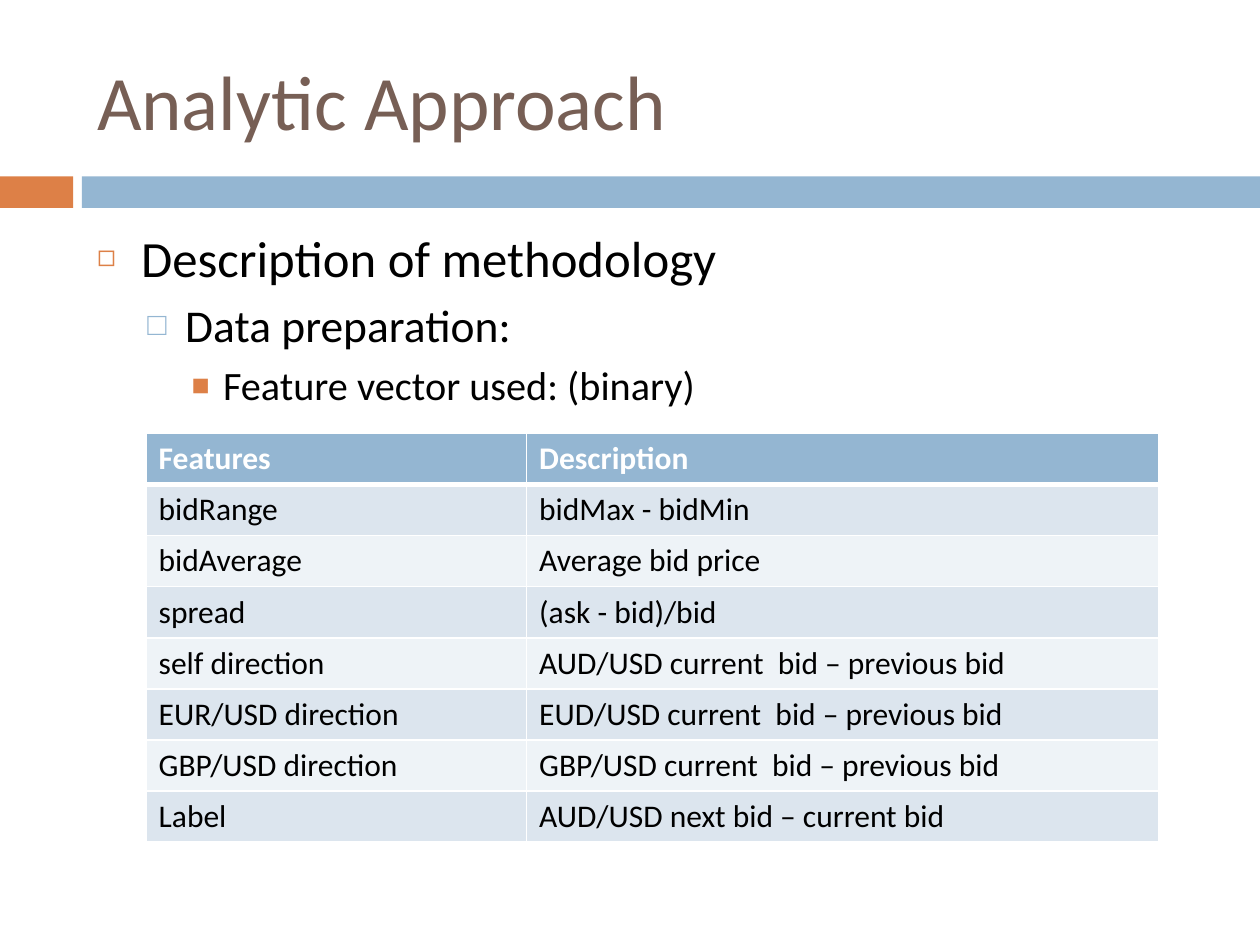
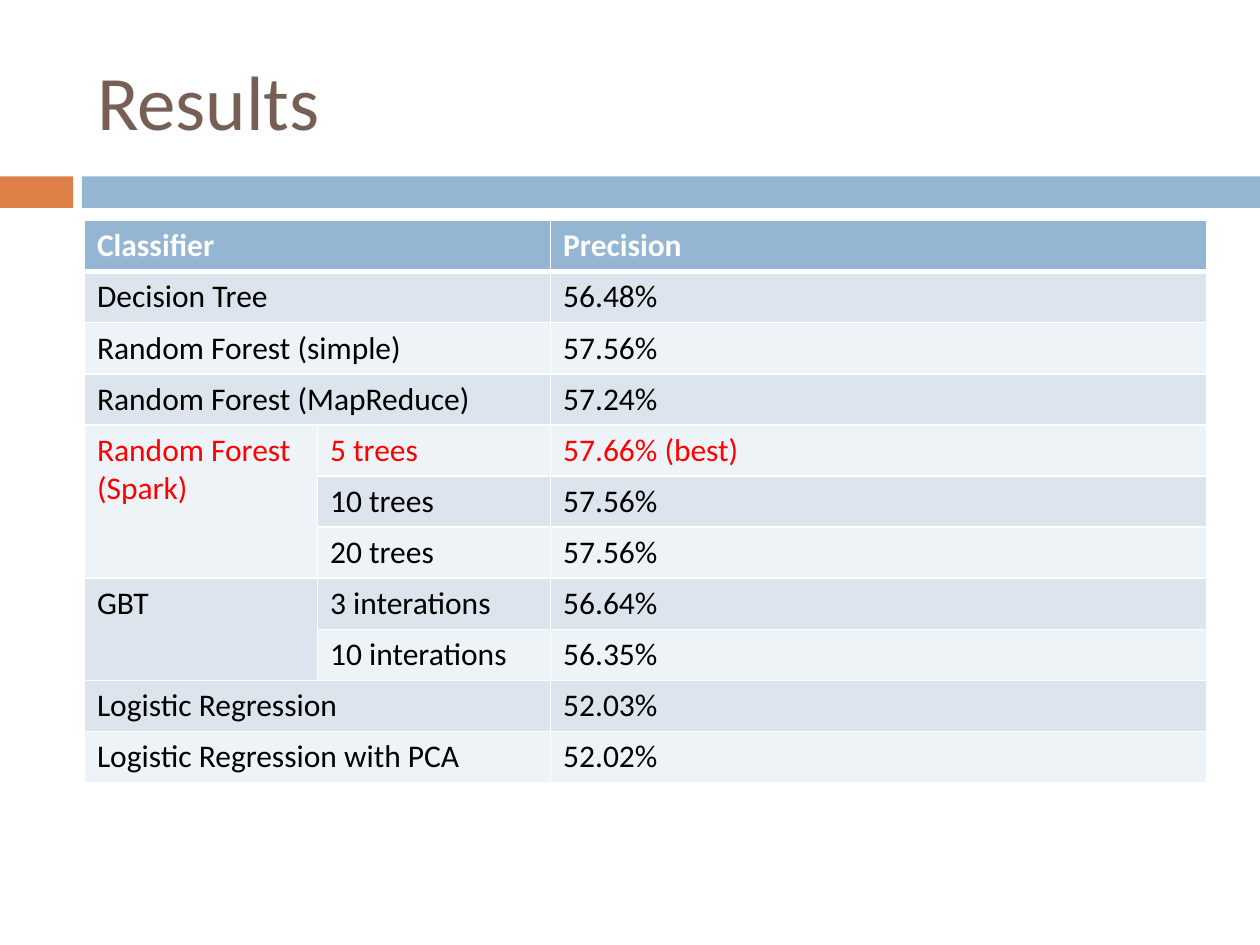
import pptx
import pptx.util
import pptx.dml.color
import pptx.enum.shapes
import pptx.enum.text
import lxml.etree
import pptx.oxml.ns

Inches, Pt = pptx.util.Inches, pptx.util.Pt
RGB = pptx.dml.color.RGBColor.from_string
qn = pptx.oxml.ns.qn

COLORS = {
    "title": "775F55", "orange": "DD8047", "blue": "94B6D2",
    "text": "000000", "best": "FF0000", "white": "FFFFFF",
    "band_dark": "DCE5EE", "band_light": "EEF3F7",
}
FONT = "Calibri"
LEFT, TOP, WIDTH = 0.67, 1.75, 8.92  # content area
ROW_HEIGHT = 0.4


def format_text(frame, size, color, bold=False):
    """Give every run of a text frame the same font, size and colour."""
    for para in frame.paragraphs:
        for span in para.runs:
            span.font.name = FONT
            span.font.size = Pt(size)
            span.font.bold = bold
            span.font.color.rgb = RGB(COLORS[color])


def add_banded_table(page, rows, left, top, widths, red_row=None):
    """Add a table with a blue header, banded rows and white rules."""
    frame = page.shapes.add_table(
        len(rows), len(widths), Inches(left), Inches(top),
        Inches(sum(widths)), Inches(ROW_HEIGHT * len(rows)))
    table = frame.table
    for column, width in zip(table.columns, widths):
        column.width = Inches(width)
    for r, row in enumerate(rows):
        for c, text in enumerate(row):
            cell = table.cell(r, c)
            cell.text = text
            color = "white" if r == 0 else "best" if r == red_row else "text"
            format_text(cell.text_frame, 18, color, bold=r == 0)
            properties = cell._tc.get_or_add_tcPr()
            for side in "LRTB":
                heavy = (r, side) in ((0, "B"), (1, "T"))
                line = lxml.etree.SubElement(
                    properties, qn("a:ln" + side), w=str(Pt(3 if heavy else 1)))
                paint = lxml.etree.SubElement(line, qn("a:solidFill"))
                lxml.etree.SubElement(paint, qn("a:srgbClr"), val=COLORS["white"])
            cell.fill.solid()
            band = "blue" if r == 0 else "band_dark" if r % 2 else "band_light"
            cell.fill.fore_color.rgb = RGB(COLORS[band])
    return table


deck = pptx.Presentation()
deck.slide_width, deck.slide_height = Inches(10), Inches(7.5)
TITLE_AND_BODY, TITLE_ONLY = deck.slide_layouts[1], deck.slide_layouts[5]

# Shared frame: title and the two-part band under it
pages = []
for title, layout in (("Analytic Approach", TITLE_AND_BODY), ("Results", TITLE_ONLY)):
    page = deck.slides.add_slide(layout)
    pages.append(page)
    for left, width, color in ((0, 0.58, "orange"), (0.65, 9.35, "blue")):
        band = page.shapes.add_shape(
            pptx.enum.shapes.MSO_SHAPE.RECTANGLE,
            Inches(left), Inches(1.4), Inches(width), Inches(0.25))
        band.shadow.inherit = False
        band.fill.solid()
        band.fill.fore_color.rgb = RGB(COLORS[color])
        band.line.fill.background()
    box = page.shapes.title
    box.left, box.top = Inches(LEFT), Inches(0.25)
    box.width, box.height = Inches(WIDTH), Inches(1.08)
    box.text_frame.text = title
    box.text_frame.vertical_anchor = pptx.enum.text.MSO_ANCHOR.MIDDLE
    box.text_frame.paragraphs[0].alignment = pptx.enum.text.PP_ALIGN.LEFT
    format_text(box.text_frame, 44, "title")

approach, results = pages

# Analytic approach: bulleted outline, one level per line
body = approach.placeholders[1]
body.left, body.top = Inches(LEFT), Inches(TOP)
body.width, body.height = Inches(WIDTH), Inches(4.92)
# text, size, space before, margin, hanging, bullet, bullet colour, bullet percent
outline = [
    ("Description of methodology", 29, 7, 0.35, 0.35, "\u25fb", "orange", 60),
    ("Data preparation:", 26, 5.5, 0.7, 0.3, "\u25a1", "blue", 70),
    ("Feature vector used: (binary)", 23, 5, 1, 0.25, "\u25a0", "orange", 75),
]
body.text_frame.text = "\n".join(item[0] for item in outline)
body.text_frame.auto_size = pptx.enum.text.MSO_AUTO_SIZE.NONE
format_text(body.text_frame, 29, "text")
for level, (para, item) in enumerate(zip(body.text_frame.paragraphs, outline)):
    text, size, before, margin, hanging, bullet, color, percent = item
    para.level = level
    para.space_before = Pt(before)
    para.runs[0].font.size = Pt(size)
    properties = para._p.get_or_add_pPr()
    properties.set("marL", str(Inches(margin)))
    properties.set("indent", str(-Inches(hanging)))
    paint = lxml.etree.SubElement(properties, qn("a:buClr"))
    lxml.etree.SubElement(paint, qn("a:srgbClr"), val=COLORS[color])
    lxml.etree.SubElement(properties, qn("a:buSzPct"), val=str(percent * 1000))
    lxml.etree.SubElement(properties, qn("a:buChar"), char=bullet)

features = [
    ("Features", "Description"),
    ("bidRange", "bidMax - bidMin"),
    ("bidAverage", "Average bid price"),
    ("spread", "(ask - bid)/bid"),
    ("self direction", "AUD/USD current  bid \u2013 previous bid"),
    ("EUR/USD direction", "EUD/USD current  bid \u2013 previous bid"),
    ("GBP/USD direction", "GBP/USD current  bid \u2013 previous bid"),
    ("Label", "AUD/USD next bid \u2013 current bid"),
]
add_banded_table(approach, features, 1.16, 3.44, (3.02, 5.02))

# Results: classifiers, some split by their setting
precision = [
    ("Classifier", "", "Precision"),
    ("Decision Tree", "", "56.48%"),
    ("Random Forest (simple)", "", "57.56%"),
    ("Random Forest (MapReduce)", "", "57.24%"),
    ("Random Forest (Spark)", "5 trees", "57.66% (best)"),
    ("", "10 trees", "57.56%"),
    ("", "20 trees", "57.56%"),
    ("GBT", "3 interations", "56.64%"),
    ("", "10 interations", "56.35%"),
    ("Logistic Regression", "", "52.03%"),
    ("Logistic Regression with PCA", "", "52.02%"),
]
table = add_banded_table(results, precision, LEFT, TOP, (1.85, 1.85, 5.21), red_row=4)
for r, (classifier, setting, value) in enumerate(precision):
    if not setting:
        table.cell(r, 0).merge(table.cell(r, 1))
for first, last in ((4, 6), (7, 8)):
    table.cell(first, 0).merge(table.cell(last, 0))

deck.save("out.pptx")
